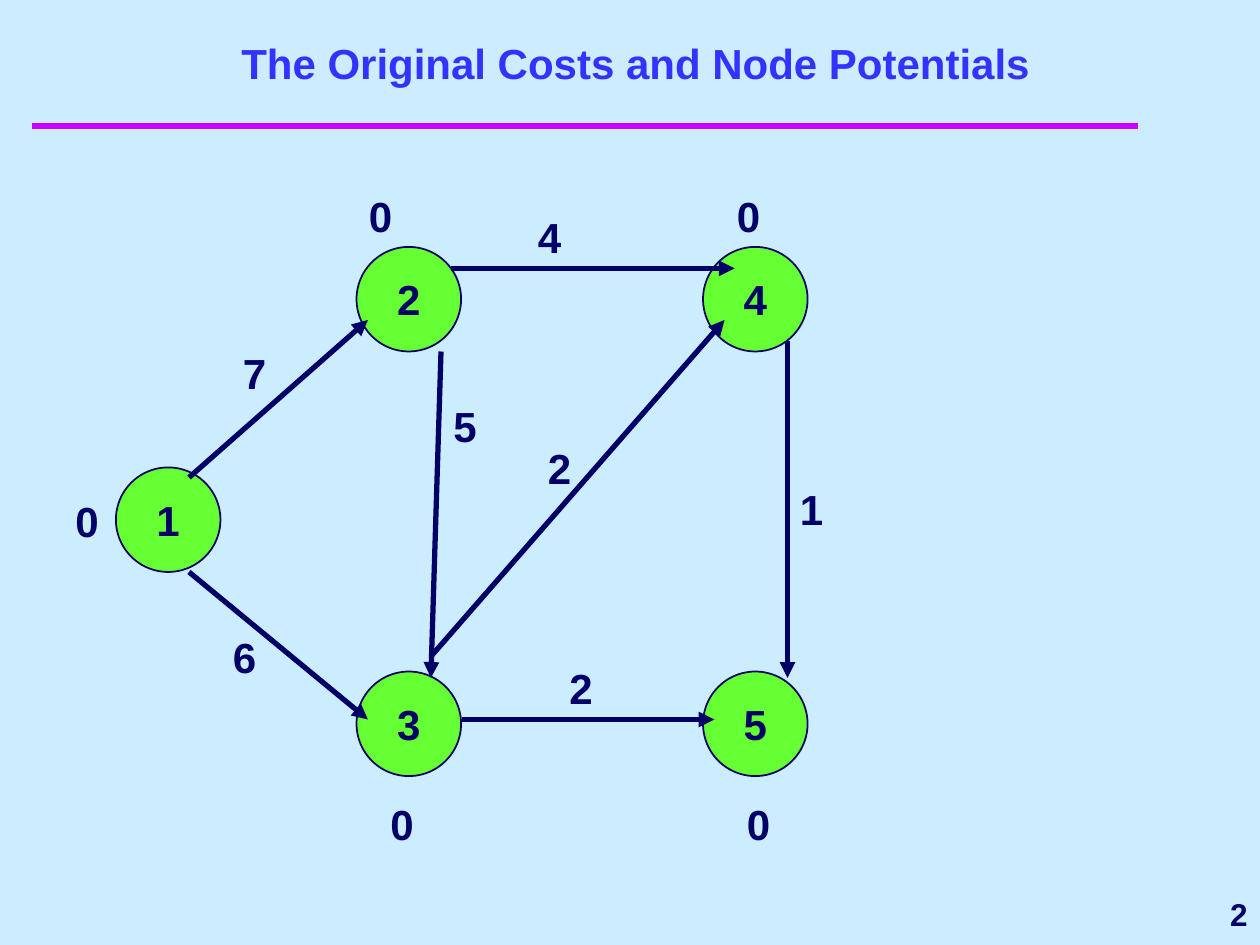
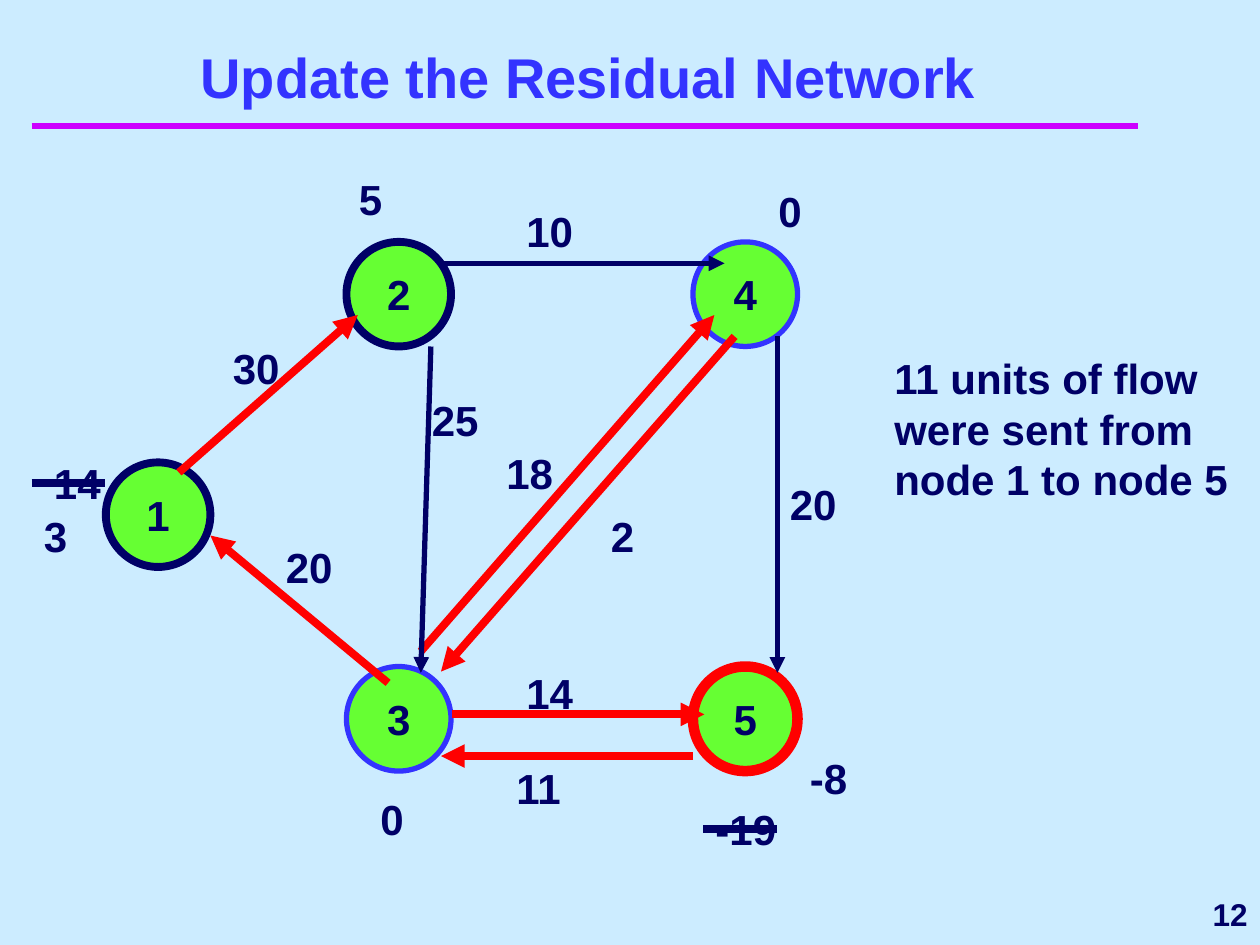
from lxml import etree
from pptx import Presentation
from pptx.dml.color import RGBColor
from pptx.enum.shapes import MSO_CONNECTOR, MSO_SHAPE
from pptx.enum.text import MSO_ANCHOR, MSO_AUTO_SIZE, PP_ALIGN
from pptx.oxml.ns import qn
from pptx.util import Inches, Pt

STRAIGHT, OVAL = MSO_CONNECTOR.STRAIGHT, MSO_SHAPE.OVAL
TOP, MIDDLE, BOTTOM = MSO_ANCHOR.TOP, MSO_ANCHOR.MIDDLE, MSO_ANCHOR.BOTTOM
LEFT, CENTER, RIGHT = PP_ALIGN.LEFT, PP_ALIGN.CENTER, PP_ALIGN.RIGHT
FONT = "Arial"
COLORS = {"sky": "CCECFF", "rule": "CC00FF", "navy": "000066",
          "blue": "3333FF", "green": "66FF33", "red": "FF0000"}
RGB = {name: RGBColor.from_string(value) for name, value in COLORS.items()}

# Network geometry shared by both slides: node corners and arc ends
DIAMETER = 0.83
NODES = {1: (0.92, 3.71), 2: (2.83, 1.96), 3: (2.83, 5.33),
         4: (5.58, 1.96), 5: (5.58, 5.33)}
ARCS = {(1, 2): (1.5, 3.79, 2.92, 2.54), (2, 4): (3.58, 2.13, 5.83, 2.13),
        (4, 5): (6.25, 2.71, 6.25, 5.38), (3, 4): (3.42, 5.21, 5.75, 2.54),
        (1, 3): (1.5, 4.54, 2.92, 5.71), (3, 5): (3.67, 5.71, 5.67, 5.71),
        (2, 3): (3.5, 2.79, 3.42, 5.38), (3, 1): (3.16, 5.46, 1.75, 4.29),
        (4, 3): (5.91, 2.71, 3.58, 5.37), (5, 3): (5.58, 6.04, 3.58, 6.04)}

NAVY_ARC, RED_ARC = ("navy", 3), ("red", 4.5)
SLIDES = [
    {
        "title": "The Original Costs and Node Potentials",
        "title_box": (0.42, 0.33, 9.25, 0.42), "title_size": 24,
        "number": "2", "shift": (0, 0),
        "nodes": {n: ("navy", 1) for n in NODES},
        "arcs": {a: NAVY_ARC for a in
                 [(1, 2), (2, 4), (4, 5), (3, 4), (1, 3), (3, 5), (2, 3)]},
        # Arc costs, then node potentials: left, top, width, text
        "labels": [(4.17, 1.63, 0.42, "4"), (6.25, 3.79, 0.42, "1"),
                   (4.25, 3.46, 0.58, "2"), (4.42, 5.21, 0.58, "2"),
                   (3.5, 3.13, 0.67, "5"), (1.75, 4.96, 1.17, "6"),
                   (1.83, 2.71, 1.17, "7"),
                   (0.5, 3.88, 0.67, "0"), (2.83, 1.46, 0.67, "0"),
                   (5.75, 1.46, 0.67, "0"), (5.83, 6.29, 0.67, "0"),
                   (3, 6.29, 0.67, "0")],
        "strikes": [],
    },
    {
        "title": "Update the Residual Network",
        "title_box": (0.42, 0.5, 8.5, 0.42), "title_size": 32,
        "number": "12", "shift": (-0.08, -0.04),
        "nodes": {1: ("navy", 4.5), 2: ("navy", 4.5), 3: ("blue", 3),
                  4: ("blue", 3), 5: ("red", 6)},
        "arcs": {(1, 2): RED_ARC, (2, 4): NAVY_ARC, (4, 5): NAVY_ARC,
                 (3, 4): RED_ARC, (3, 5): RED_ARC, (2, 3): NAVY_ARC,
                 (3, 1): RED_ARC, (4, 3): RED_ARC, (5, 3): RED_ARC},
        # Residual capacities, then supplies and demands, then the remark
        "labels": [(4.08, 1.58, 1.17, "10"), (6.17, 3.75, 1.17, "20"),
                   (3.92, 3.5, 1.17, "18"), (4.08, 5.25, 1.17, "14"),
                   (3.33, 3.08, 1.17, "25"), (1.75, 2.67, 1.17, "30"),
                   (2.17, 4.25, 0.67, "20"), (4.75, 4, 1.17, "2"),
                   (4, 6, 1.17, "11"),
                   (2.75, 1.33, 0.75, "5"), (5.58, 6.33, 0.75, "-19"),
                   (2.92, 6.25, 0.75, "0"), (0.33, 3.58, 0.75, "14"),
                   (6.08, 1.42, 0.75, "0"), (0.25, 4, 0.75, "3"),
                   (6.33, 5.92, 0.75, "-8"),
                   (7, 2.75, 3, "11 units of flow were sent from node 1 to node 5")],
        "strikes": [(0.25, 3.83, 0.83, 3.83), (5.58, 6.58, 6.17, 6.58)],
    },
]


def write(sp, text, size=24, color="navy", align=LEFT, anchor=TOP, wrap=True):
    tf = sp.text_frame
    tf.auto_size = MSO_AUTO_SIZE.NONE
    tf.word_wrap = wrap
    tf.vertical_anchor = anchor
    p = tf.paragraphs[0]
    p.alignment = align
    r = p.add_run()
    r.text = text
    r.font.name, r.font.size, r.font.bold = FONT, Pt(size), True
    r.font.color.rgb = RGB[color]


def add_line(s, ends, color, width, arrow=False):
    c = s.shapes.add_connector(STRAIGHT, *[Inches(v) for v in ends])
    c.line.color.rgb = RGB[color]
    c.line.width = Pt(width)
    sp_pr = c.element.spPr
    if arrow:
        etree.SubElement(sp_pr.find(qn("a:ln")), qn("a:tailEnd"), type="triangle")
    etree.SubElement(sp_pr, qn("a:effectLst"))


prs = Presentation()
prs.slide_width, prs.slide_height = Inches(10), Inches(7.5)
fill = prs.slide_master.background.fill
fill.solid()
fill.fore_color.rgb = RGB["sky"]

for spec_ in SLIDES:
    s = prs.slides.add_slide(prs.slide_layouts[5])
    dx, dy = spec_["shift"]

    # Title, rule below it and slide number
    add_line(s, (0.25, 1, 9.03, 1), "rule", 4)
    title = s.shapes.title
    title.left, title.top, title.width, title.height = [
        Inches(v) for v in spec_["title_box"]]
    write(title, spec_["title"], spec_["title_size"], "blue", CENTER, BOTTOM)
    number = s.shapes.add_textbox(Inches(8.08), Inches(7), Inches(1.92), Inches(0.5))
    write(number, spec_["number"], 18, align=RIGHT, anchor=MIDDLE)

    # Nodes
    for n, (color, width) in spec_["nodes"].items():
        x, y = NODES[n]
        sp = s.shapes.add_shape(OVAL, Inches(x + dx), Inches(y + dy),
                                Inches(DIAMETER), Inches(DIAMETER))
        sp.shadow.inherit = False
        sp.fill.solid()
        sp.fill.fore_color.rgb = RGB["green"]
        sp.line.color.rgb = RGB[color]
        sp.line.width = Pt(width)
        write(sp, str(n), align=CENTER, anchor=MIDDLE, wrap=False)

    # Arcs
    for arc, (color, width) in spec_["arcs"].items():
        x1, y1, x2, y2 = ARCS[arc]
        add_line(s, (x1 + dx, y1 + dy, x2 + dx, y2 + dy), color, width, arrow=True)

    # Labels, with outdated values struck out
    for x, y, w, text in spec_["labels"]:
        h = 1.3 if len(text) > 3 else 0.5
        sp = s.shapes.add_textbox(Inches(x), Inches(y), Inches(w), Inches(h))
        write(sp, text)
    for ends in spec_["strikes"]:
        add_line(s, ends, "navy", 4.5)

prs.save("out.pptx")
